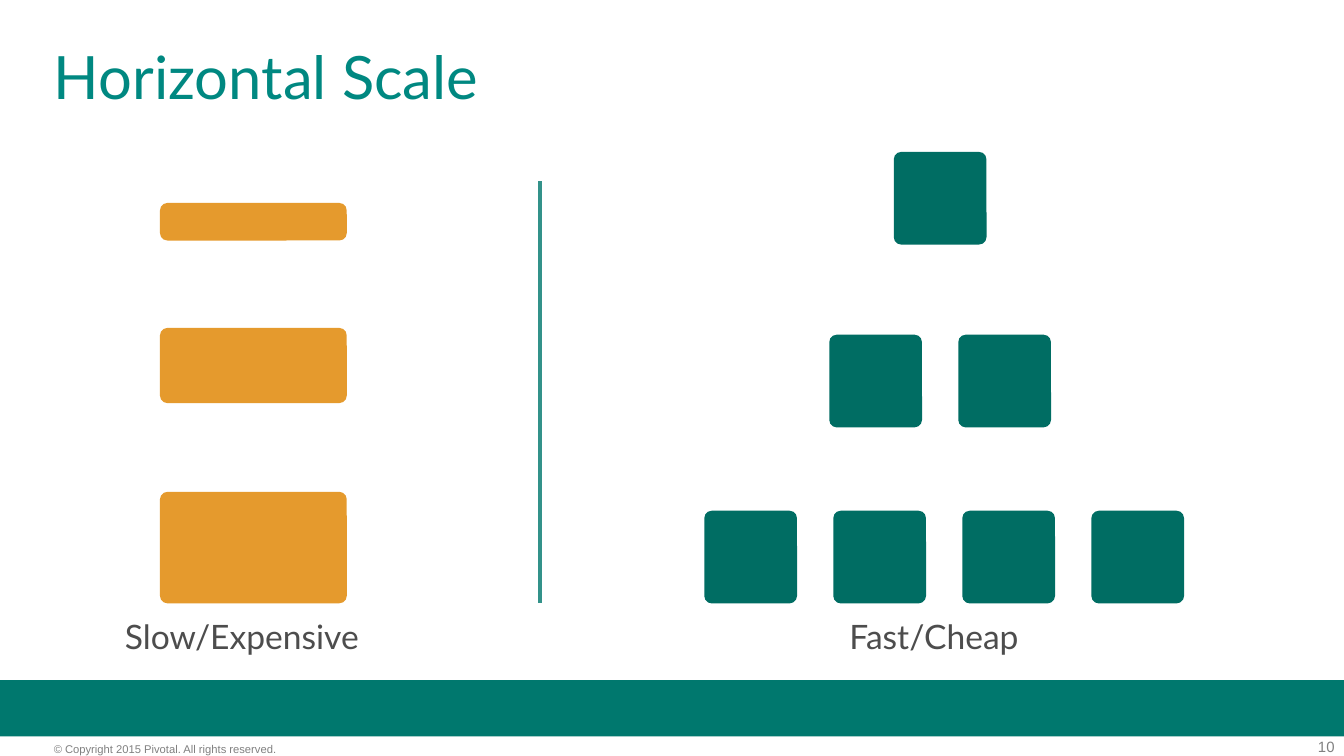
from dataclasses import dataclass

import lxml.etree
import pptx
import pptx.dml.color
import pptx.enum.shapes
import pptx.enum.text
import pptx.oxml.ns
import pptx.presentation
import pptx.slide
import pptx.util
from pptx.util import Inches


@dataclass(frozen=True)
class Theme:
    title: str = "008881"
    footer: str = "00786E"
    vertical: str = "E59A2D"
    horizontal: str = "006D63"
    divider: str = "33928A"
    label: str = "4D4D4D"
    muted: str = "808080"
    heading_font: str = "Lato"
    footer_font: str = "Arial"
    title_size: int = 32
    label_size: int = 18
    page_size: int = 8
    copyright_size: int = 6
    divider_width: int = 2


@dataclass(frozen=True)
class Caption:
    text: str
    left: float
    top: float
    width: float
    height: float
    size: int
    font: str
    color: str
    align: pptx.enum.text.PP_ALIGN = pptx.enum.text.PP_ALIGN.LEFT
    line_spacing: float = 1.0


@dataclass(frozen=True)
class Server:
    top: float
    height: float


@dataclass(frozen=True)
class ServerRow:
    left: float
    top: float
    count: int


THEME = Theme()
SLIDE_WIDTH = 10
SLIDE_HEIGHT = SLIDE_WIDTH * 9 / 16
CORNER = 0.056
SERVER_LEFT, SERVER_WIDTH = 1.19, 1.39
NODE_SIZE, NODE_PITCH = 0.69, 0.96

SERVERS = [Server(1.51, 0.28), Server(2.44, 0.56), Server(3.66, 0.83)]
SERVER_ROWS = [ServerRow(6.65, 1.13, 1), ServerRow(6.17, 2.49, 2), ServerRow(5.24, 3.8, 4)]

CAPTIONS = [
    Caption("© Copyright 2015 Pivotal. All rights reserved.", 0.4, 5.52, 2.49, 0.14,
            THEME.copyright_size, THEME.footer_font, THEME.muted),
    Caption("Horizontal Scale", 0.4, 0.36, 9.2, 0.5,
            THEME.title_size, THEME.heading_font, THEME.title, line_spacing=0.9),
    Caption("10", 9.35, 5.49, 0.58, 0.14,
            THEME.page_size, THEME.footer_font, THEME.muted, pptx.enum.text.PP_ALIGN.RIGHT),
    Caption("Slow/Expensive", 0.93, 4.58, 1.9, 0.45,
            THEME.label_size, THEME.heading_font, THEME.label),
    Caption("Fast/Cheap", 6.32, 4.58, 1.42, 0.45,
            THEME.label_size, THEME.heading_font, THEME.label),
]


def rgb(color: str) -> pptx.dml.color.RGBColor:
    return pptx.dml.color.RGBColor.from_string(color)


def add_block(slide: pptx.slide.Slide, left: float, top: float, width: float,
              height: float, color: str, rounded: bool = True) -> None:
    kinds = pptx.enum.shapes.MSO_SHAPE
    shape = slide.shapes.add_shape(
        kinds.ROUNDED_RECTANGLE if rounded else kinds.RECTANGLE,
        Inches(left), Inches(top), Inches(width), Inches(height))
    if rounded:
        shape.adjustments[0] = CORNER / min(width, height)
    shape.shadow.inherit = False
    shape.fill.solid()
    shape.fill.fore_color.rgb = rgb(color)
    shape.line.fill.background()


def add_caption(slide: pptx.slide.Slide, caption: Caption) -> None:
    box = slide.shapes.add_textbox(Inches(caption.left), Inches(caption.top),
                                   Inches(caption.width), Inches(caption.height))
    frame = box.text_frame
    frame.word_wrap = True
    frame.margin_left = frame.margin_right = frame.margin_top = frame.margin_bottom = 0
    paragraph = frame.paragraphs[0]
    paragraph.alignment = caption.align
    paragraph.line_spacing = caption.line_spacing
    run = paragraph.add_run()
    run.text = caption.text
    run.font.name = caption.font
    run.font.size = pptx.util.Pt(caption.size)
    run.font.color.rgb = rgb(caption.color)


def add_divider(slide: pptx.slide.Slide, left: float, top: float, bottom: float) -> None:
    connector = slide.shapes.add_connector(
        pptx.enum.shapes.MSO_CONNECTOR.STRAIGHT,
        Inches(left), Inches(top), Inches(left), Inches(bottom))
    connector.line.color.rgb = rgb(THEME.divider)
    connector.line.width = pptx.util.Pt(THEME.divider_width)
    lxml.etree.SubElement(connector._element.spPr, pptx.oxml.ns.qn("a:effectLst"))


def build() -> pptx.presentation.Presentation:
    presentation = pptx.Presentation()
    presentation.slide_width = Inches(SLIDE_WIDTH)
    presentation.slide_height = Inches(SLIDE_HEIGHT)
    slide = presentation.slides.add_slide(presentation.slide_layouts[6])

    add_block(slide, 0, 5.06, SLIDE_WIDTH, 0.42, THEME.footer, rounded=False)
    for server in SERVERS:
        add_block(slide, SERVER_LEFT, server.top, SERVER_WIDTH, server.height, THEME.vertical)
    for row in SERVER_ROWS:
        for column in range(row.count):
            add_block(slide, row.left + column * NODE_PITCH, row.top,
                      NODE_SIZE, NODE_SIZE, THEME.horizontal)
    add_divider(slide, 4.02, 1.35, 4.49)
    for caption in CAPTIONS:
        add_caption(slide, caption)
    return presentation


if __name__ == "__main__":
    build().save("out.pptx")
